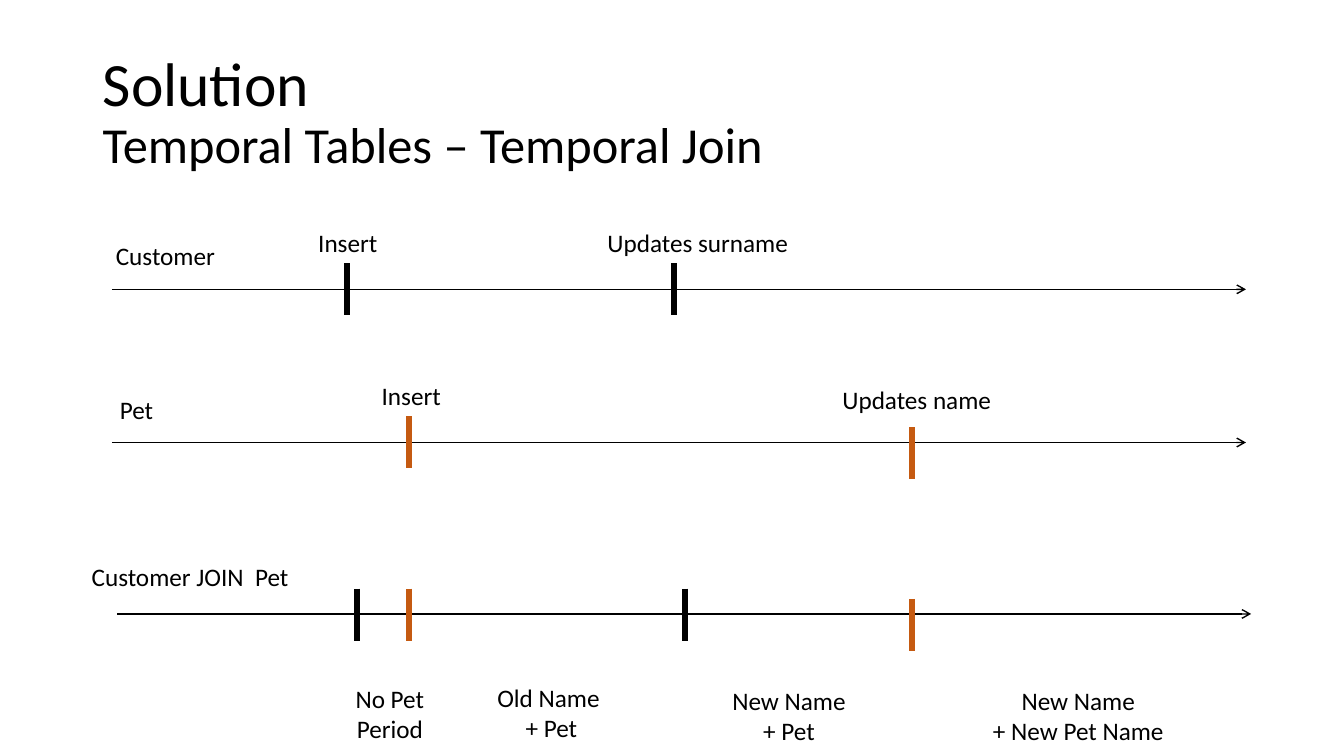
"""Build the temporal join timeline slide."""
import pptx
import pptx.dml.color
import pptx.enum.shapes
import pptx.enum.text
import pptx.oxml
import pptx.oxml.ns
import pptx.util
from pptx.util import Cm

BLACK = pptx.dml.color.RGBColor(0x00, 0x00, 0x00)
ORANGE = pptx.dml.color.RGBColor(0xC5, 0x5A, 0x11)
AXIS_LENGTH = 28.58
TICK_HEIGHT = 1.31


class TimelineSlide:
    """Hold the slide and its text and line style."""

    font = "Calibri"

    def __init__(self, slide):
        self.slide = slide

    def add_run(self, paragraph, words, size):
        """Append one styled run."""
        run = paragraph.add_run()
        run.text = words
        run.font.name = self.font
        run.font.size = pptx.util.Pt(size)
        run.font.color.rgb = BLACK

    def text_frame(self, left, top, width, height):
        """Add a wrapping text box and return its frame."""
        frame = self.slide.shapes.add_textbox(Cm(left), Cm(top), Cm(width), Cm(height)).text_frame
        frame.word_wrap = True
        return frame

    def title(self, heading, subheading):
        """Add the heading with its subheading on the next line."""
        frame = self.text_frame(2.34, 1.02, 29.21, 3.68)
        frame.vertical_anchor = pptx.enum.text.MSO_ANCHOR.MIDDLE
        paragraph = frame.paragraphs[0]
        paragraph.line_spacing = 0.9
        self.add_run(paragraph, heading, 44)
        paragraph.add_line_break()
        self.add_run(paragraph, subheading, 36)

    def label(self, left, top, width, *lines, align=pptx.enum.text.PP_ALIGN.LEFT):
        """Add a label with one paragraph per line."""
        frame = self.text_frame(left, top, width, 0.25 + 0.77 * len(lines))
        for number, words in enumerate(lines):
            paragraph = frame.add_paragraph() if number else frame.paragraphs[0]
            paragraph.alignment = align
            self.add_run(paragraph, words, 18)

    def period(self, left, top, width, *lines):
        """Add a centred description of a joined period."""
        self.label(left, top, width, *lines, align=pptx.enum.text.PP_ALIGN.CENTER)

    def line(self, start, end, color, weight):
        """Add a straight line without shadow."""
        line = self.slide.shapes.add_connector(
            pptx.enum.shapes.MSO_CONNECTOR.STRAIGHT, *map(Cm, start + end))
        line.line.color.rgb = color
        line.line.width = pptx.util.Pt(weight)
        pptx.oxml.ns.qn("a:effectLst")
        line.line._get_or_add_ln().addnext(pptx.oxml.parse_xml(
            f'<a:effectLst {pptx.oxml.ns.nsdecls("a")}/>'))
        return line

    def axis(self, left, y):
        """Add a time axis pointing right."""
        axis = self.line((left, y), (left + AXIS_LENGTH, y), BLACK, 1)
        axis.line._get_or_add_ln().append(pptx.oxml.parse_xml(
            f'<a:tailEnd {pptx.oxml.ns.nsdecls("a")} type="arrow"/>'))

    def tick(self, x, top, color):
        """Add an event mark."""
        self.line((x, top), (x, top + TICK_HEIGHT), color, 4.5)


def main():
    """Create and save the presentation."""
    deck = pptx.Presentation()
    deck.slide_width, deck.slide_height = Cm(33.87), Cm(19.05)
    timeline = TimelineSlide(deck.slides.add_slide(deck.slide_layouts[6]))
    timeline.title("Solution", "Temporal Tables – Temporal Join")

    for left, y in ((2.82, 7.29), (2.82, 11.15), (2.95, 15.47)):
        timeline.axis(left, y)

    for x, top, color in (
        (8.74, 6.63, BLACK), (16.99, 6.63, BLACK),
        (10.31, 10.49, ORANGE), (22.99, 10.77, ORANGE),
        (8.99, 14.83, BLACK), (10.31, 14.83, ORANGE),
        (17.27, 14.83, BLACK), (22.99, 15.09, ORANGE),
    ):
        timeline.tick(x, top, color)

    for left, top, width, words in (
        (2.67, 5.92, 3.25, "Customer"),
        (7.77, 5.61, 2.41, "Insert"),
        (15.06, 5.61, 5.38, "Updates surname"),
        (2.77, 9.8, 3.25, "Pet"),
        (9.37, 9.47, 2.41, "Insert"),
        (20.98, 9.55, 5.38, "Updates name"),
        (2.06, 14.02, 6.17, "Customer JOIN  Pet"),
    ):
        timeline.label(left, top, width, words)

    timeline.period(8.2, 17.09, 3.25, "No Pet", "Period")
    timeline.period(12.27, 17.07, 3.25, "Old Name ", "+ Pet")
    timeline.period(17.42, 17.15, 4.93, "New Name", "+ Pet")
    timeline.period(24.71, 17.15, 4.93, "New Name", "+ New Pet Name")
    deck.save("out.pptx")


if __name__ == "__main__":
    main()
